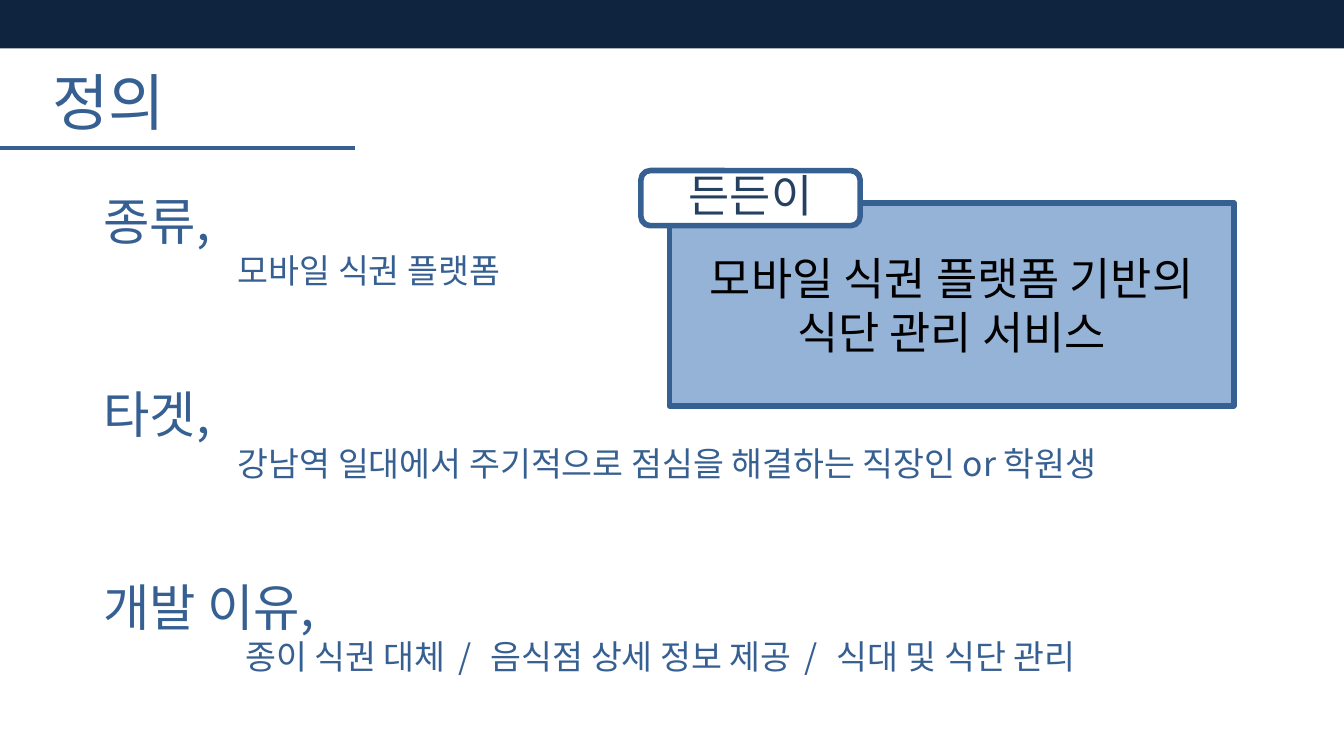
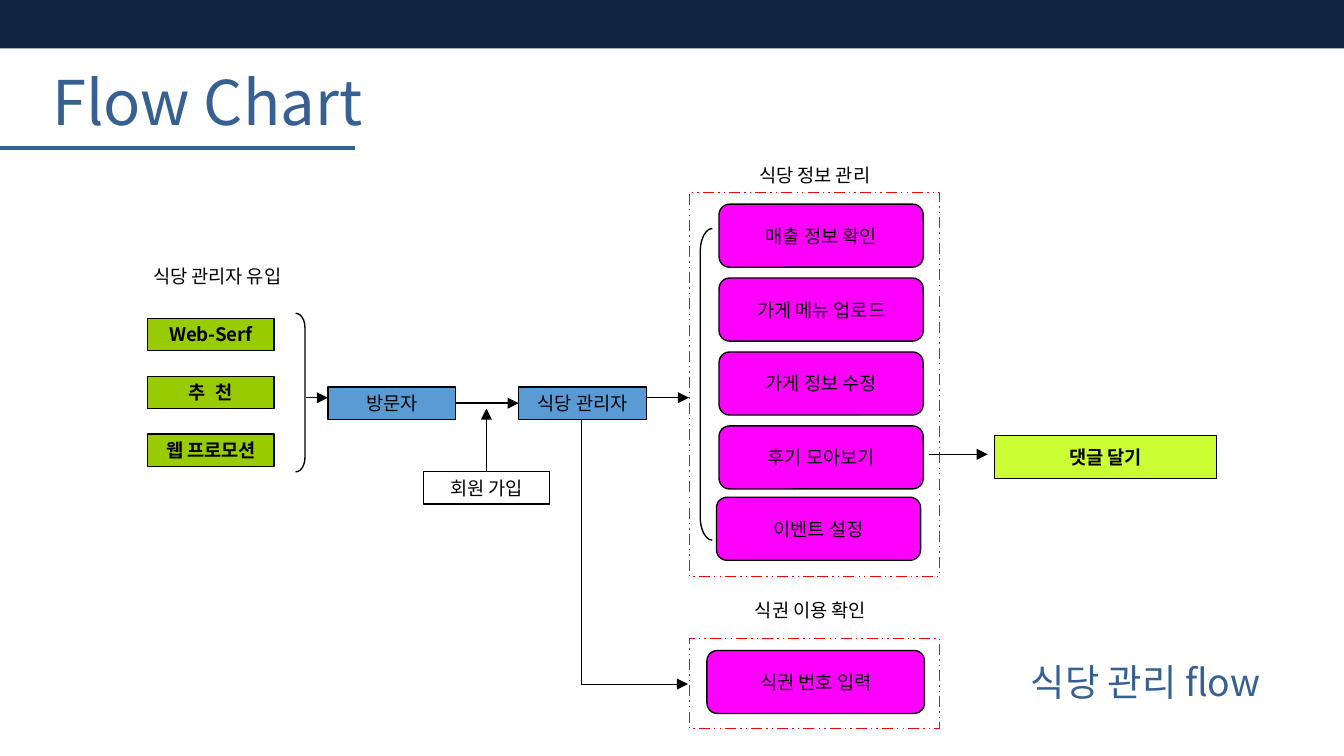
from pptx import Presentation
from pptx import util as u
from pptx.dml import color
from pptx.enum import dml, shapes, text
from pptx.oxml import ns
from lxml import etree

Pt = u.Pt
FONT = "Noto Sans CJK KR"
COLORS = {
    "navy": "0F243E", "blue": "376092", "deep": "254061", "pale": "95B3D7",
    "white": "FFFFFF", "black": "000000", "green": "99CC00", "sky": "5B9BD5",
    "lime": "CCFF33", "pink": "FF00FF", "red": "FF0000",
}
KIND = shapes.MSO_SHAPE
CENTER = text.PP_ALIGN.CENTER
TIGHT = (5, 3)
LOOSE = (7.2, 3.6)


def rgb(name):
    """Look up a named colour."""
    return color.RGBColor.from_string(COLORS[name])


def write(paragraph, content, size=10, ink="black", bold=None, align=None, indent=0):
    """Fill a paragraph; content is a string or a list of (text, letter spacing)."""
    if align is not None:
        paragraph.alignment = align
    if indent:
        paragraph._p.get_or_add_pPr().set("marL", str(Pt(indent)))
    for words, spacing in [(content, 0)] if isinstance(content, str) else content:
        run = paragraph.add_run()
        run.text = words
        run.font.size, run.font.bold, run.font.name = Pt(size), bold, FONT
        run.font.color.rgb = rgb(ink)
        properties = run._r.get_or_add_rPr()
        etree.SubElement(properties, ns.qn("a:ea")).set("typeface", FONT)
        if spacing:
            properties.set("spc", str(int(spacing * 100)))


def set_frame(shape, insets=LOOSE, wrap=True, grow=False):
    """Set margins, wrapping and growth of a text frame and return the frame."""
    frame = shape.text_frame
    frame.margin_left = frame.margin_right = Pt(insets[0])
    frame.margin_top = frame.margin_bottom = Pt(insets[1])
    frame.word_wrap = wrap
    if grow:
        frame.auto_size = text.MSO_AUTO_SIZE.SHAPE_TO_FIT_TEXT
    return frame


def add_text(slide, box, lines, insets=TIGHT, wrap=True, grow=True):
    """Add a text box; lines are (content, format) pairs."""
    shape = slide.shapes.add_textbox(*map(Pt, box))
    frame = set_frame(shape, insets, wrap, grow)
    for number, (content, style) in enumerate(lines):
        paragraph = frame.add_paragraph() if number else frame.paragraphs[0]
        write(paragraph, content, **style)


def add_shape(slide, box, kind=KIND.RECTANGLE, fill=None, line=None, width=0.75,
              adjust=None, dash=None):
    """Add a preset shape without shadow."""
    shape = slide.shapes.add_shape(kind, *map(Pt, box))
    shape.shadow.inherit = False
    if fill:
        shape.fill.solid()
        shape.fill.fore_color.rgb = rgb(fill)
    else:
        shape.fill.background()
    if line:
        shape.line.color.rgb = rgb(line)
        shape.line.width = Pt(width)
    else:
        shape.line.fill.background()
    if dash:
        shape.line.dash_style = dash
    if adjust is not None:
        shape.adjustments[0] = adjust
    return shape


def add_node(slide, box, label, fill, bold=None, **style):
    """Add a labelled flow chart node."""
    shape = add_shape(slide, box, fill=fill, line="black", **style)
    frame = set_frame(shape, wrap=False)
    frame.vertical_anchor = text.MSO_ANCHOR.MIDDLE
    write(frame.paragraphs[0], label, bold=bold, align=CENTER)


def add_pill(slide, box, label):
    """Add a rounded pink node."""
    add_node(slide, box, label, "pink", kind=KIND.ROUNDED_RECTANGLE, adjust=0.167)


def add_label(slide, box, label):
    """Add a small unboxed caption."""
    add_text(slide, box, [(label, {})], insets=LOOSE, wrap=False)


def add_line(slide, start, end, ink="black", width=0.75, arrow=True,
             kind=shapes.MSO_CONNECTOR.STRAIGHT):
    """Add a connector, with an arrowhead at its end if asked."""
    connector = slide.shapes.add_connector(kind, *map(Pt, (*start, *end)))
    connector.line.color.rgb = rgb(ink)
    connector.line.width = Pt(width)
    properties = connector._element.spPr
    if arrow:
        outline = properties.find(ns.qn("a:ln"))
        etree.SubElement(outline, ns.qn("a:tailEnd")).set("type", "triangle")
    etree.SubElement(properties, ns.qn("a:effectLst"))
    return connector


def add_corner_arrow(slide, start, end):
    """Add a one-bend arrow that runs down first, then right."""
    across, down = end[0] - start[0], end[1] - start[1]
    left = (start[0] + end[0] - down) / 2
    top = (start[1] + end[1] - across) / 2
    connector = add_line(slide, (left, top), (left + down, top + across), width=0.5,
                         kind=shapes.MSO_CONNECTOR.ELBOW)
    properties = connector._element.spPr
    properties.find(ns.qn("a:prstGeom")).set("prst", "bentConnector2")
    transform = properties.find(ns.qn("a:xfrm"))
    transform.set("rot", str(270 * 60000))
    transform.set("flipH", "1")


def add_page(presentation, title):
    """Add a slide with the dark band, white panel, title and rule."""
    slide = presentation.slides.add_slide(presentation.slide_layouts[6])
    slide.background.fill.solid()
    slide.background.fill.fore_color.rgb = rgb("navy")
    add_shape(slide, (0, 26, 720, 379), fill="white")
    add_line(slide, (-0.7, 79.2), (190, 79.2), "blue", 2.25, arrow=False)
    add_text(slide, (23, 31, 232.5, 45.4), [(title, {"size": 33, "ink": "blue"})])
    return slide


def add_topic(slide, box, heading, detail, indent=72):
    """Add a heading with an indented detail line."""
    add_text(slide, box, [
        (heading, {"size": 27, "ink": "blue"}),
        (detail, {"size": 18, "ink": "blue", "indent": indent}),
    ])


def add_callout(slide, box, name, lines):
    """Add a pale box with a name tag over its top left corner."""
    left, top = box[:2]
    body = add_shape(slide, box, fill="pale", line="blue", width=3)
    tag = add_shape(slide, (left - 15.2, top - 17.3, 117.4, 29.5),
                    KIND.ROUNDED_RECTANGLE, "white", "blue", 3)
    for shape, rows, ink in ((body, lines, "black"), (tag, [name], "deep")):
        frame = set_frame(shape, TIGHT)
        frame.vertical_anchor = text.MSO_ANCHOR.MIDDLE
        for number, row in enumerate(rows):
            paragraph = frame.add_paragraph() if number else frame.paragraphs[0]
            write(paragraph, row, size=24, ink=ink, align=CENTER)
    paragraph = tag.text_frame.paragraphs[0]
    paragraph.line_spacing, paragraph.space_after = 0.9, Pt(8)


def add_sources(slide, box):
    """Add the visitor sources, their caption and the closing bracket."""
    left, top, width, height = box
    add_label(slide, (left - 4.3, top, 92.2, 19.4), "식당 관리자 유입")
    sources = ["Web-Serf", [("추 천", 1.5)], "웹 프로모션"]
    for number, source in enumerate(sources):
        add_node(slide, (left, top + 32.4 + 31 * number, 67.7, 17.3), source,
                 "green", bold=True)
    add_shape(slide, (left + width - 5, top + height - 85, 5, 85),
              KIND.RIGHT_BRACKET, line="black", adjust=1.513)


def add_signup(slide, box):
    """Add the path from visitor to manager with the sign-up step."""
    left, top, width, height = box
    middle, node_width, node_height = top + 8.6, 68.4, 17.3
    manager = left + width - node_width
    add_line(slide, (left - 11.5, top + 5.7), (left, top + 5.7))
    add_node(slide, (left, top, node_width, node_height), "방문자", "sky")
    add_node(slide, (manager, top, node_width, node_height), "식당 관리자", "sky")
    add_line(slide, (left + node_width, middle), (manager, middle))
    add_line(slide, (left + 84.9, top + 51.1), (left + 84.9, top + 11.5))
    add_node(slide, (left + 51.1, top + height - node_height, 67.7, node_height),
             "회원 가입", "white")
    add_line(slide, (left + width, top + 5.7), (left + width + 22.8, top + 5.7))


def add_group_frame(slide, box):
    """Add a dash-dotted group outline."""
    add_shape(slide, box, line="red", dash=dml.MSO_LINE.DASH_DOT_DOT)


def add_store_menu(slide, box, items):
    """Add the framed column of store functions with its bracket."""
    left, top = box[:2]
    add_label(slide, (left + 30.2, top - 18.8, 82.8, 19.4), "식당 정보 관리")
    for number, item in enumerate(items):
        nudge = 1.4 if number == len(items) - 1 else 0
        add_pill(slide, (left + 15.8 - nudge, top + 6.4 + 39.6 * number - nudge,
                         109.4, 33.8), item)
    add_shape(slide, (left + 5.7, top + 19.4, 6.5, 167), KIND.LEFT_BRACKET,
              line="black", adjust=1.931)
    add_group_frame(slide, box)


def add_ticket_check(slide, box):
    """Add the framed ticket step."""
    left, top = box[:2]
    add_label(slide, (left + 28, top - 24.5, 83.5, 19.4), "식권 이용 확인")
    add_pill(slide, (left + 9.3, top + 6.5, 116.6, 33.8), "식권 번호 입력")
    add_group_frame(slide, box)


def build_definition(presentation):
    """Build the definition slide."""
    slide = add_page(presentation, "정의")
    slash = (" / ", 3)
    reasons = [("종이 식권 대체", 0), slash, ("음식점 상세 정보 제공", 0), slash,
               ("식대 및 식단 관리", 0)]
    topics = [
        (345.6, "종류,", "모바일 식권 플랫폼", 72),
        (559.4, "타겟,", "강남역 일대에서 주기적으로 점심을 해결하는 직장인 or 학원생", 72),
        (612, "개발 이유,", reasons, 76),
    ]
    for number, (width, heading, detail, indent) in enumerate(topics):
        add_topic(slide, (50.4, 98.6 + 103.4 * number, width, 60), heading, detail, indent)
    add_callout(slide, (358.6, 108.7, 302.4, 108.7), "든든이",
                ["모바일 식권 플랫폼 기반의", "식단 관리 서비스"])


def build_flow(presentation):
    """Build the flow chart slide."""
    slide = add_page(presentation, "Flow Chart")
    add_sources(slide, (79.2, 138.2, 84.2, 114.6))
    add_signup(slide, (175.7, 207.4, 170.6, 62.6))
    add_store_menu(slide, (369.4, 103, 133.9, 205.9), [
        "매출 정보 확인", "가게 메뉴 업로드", "가게 정보 수정", "후기 모아보기", "이벤트 설정"])
    add_corner_arrow(slide, (311.8, 224.6), (368.6, 366.5))
    add_ticket_check(slide, (369.4, 342, 133.9, 48.2))
    add_line(slide, (497.5, 243.4), (529.2, 243.4))
    add_node(slide, (532.8, 233.3, 118.8, 23), "댓글 달기", "lime", bold=True)
    add_text(slide, (547.2, 349.9, 147.6, 29.5),
             [("식당 관리 flow", {"size": 20, "ink": "blue"})], grow=False)


presentation = Presentation()
presentation.slide_width, presentation.slide_height = Pt(720), Pt(405)
build_definition(presentation)
build_flow(presentation)
presentation.save("out.pptx")
